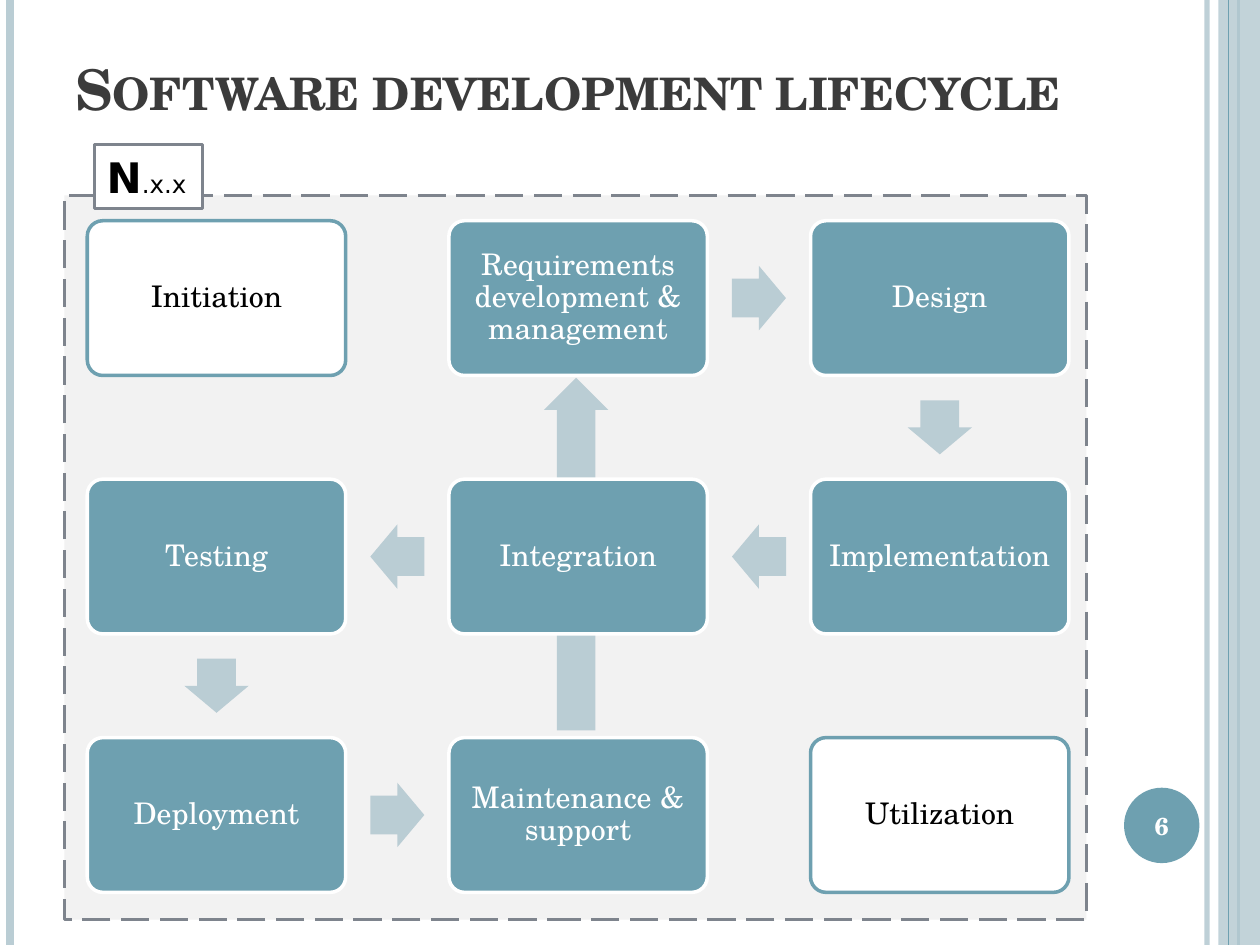
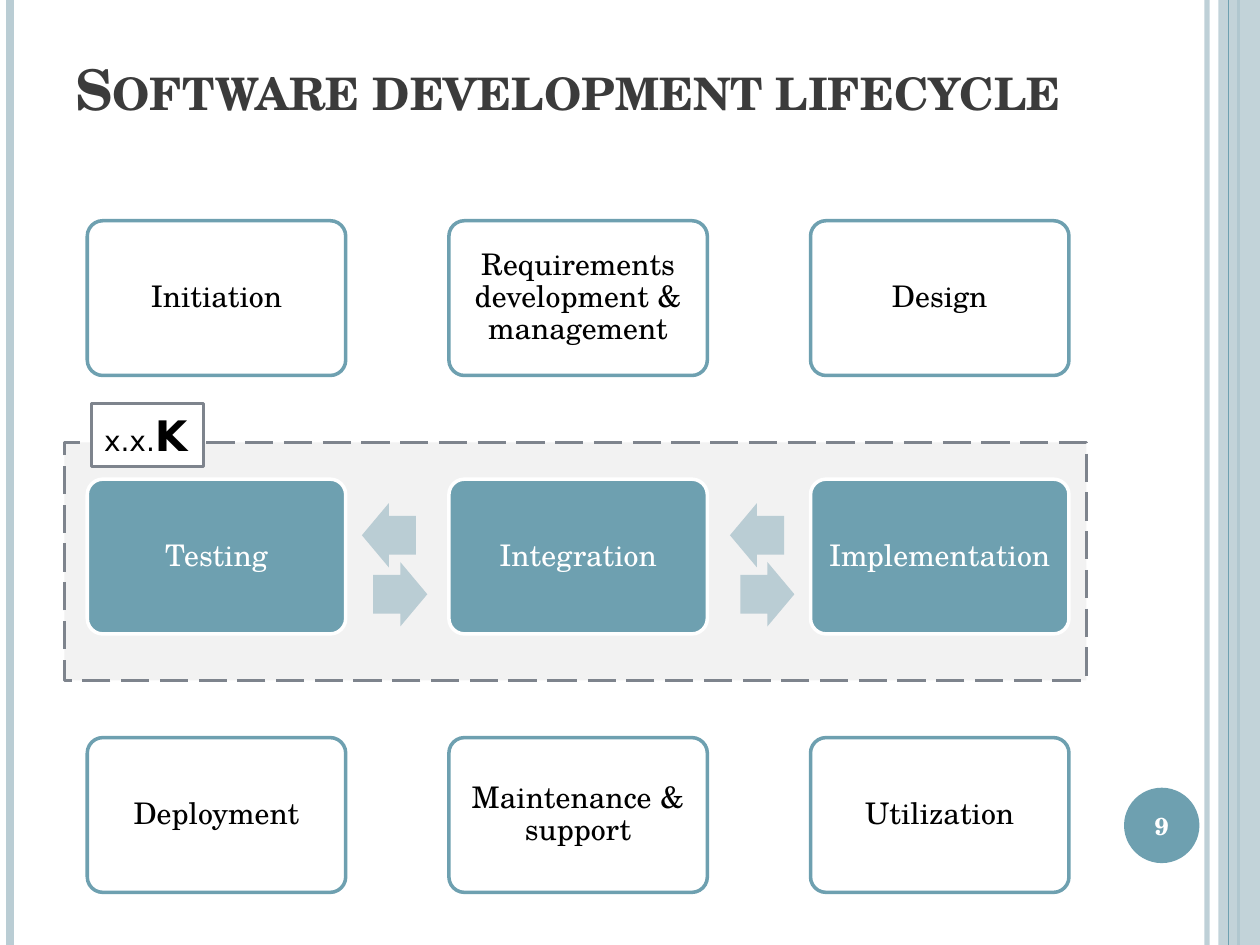
from dataclasses import dataclass
from math import atan2, degrees

from lxml.etree import SubElement
from pptx import Presentation
from pptx.dml.color import RGBColor
from pptx.enum.dml import MSO_LINE as Dash
from pptx.enum.shapes import MSO_CONNECTOR as Connector, MSO_SHAPE as Shape
from pptx.enum.text import MSO_ANCHOR as Anchor, MSO_AUTO_SIZE as AutoSize, PP_ALIGN as Align
from pptx.oxml.ns import qn
from pptx.util import Cm, Pt


@dataclass(frozen=True)
class Theme:
    teal: str = "6EA0B0"
    pale: str = "BACDD4"
    gray: str = "7E848D"
    panel: str = "F2F2F2"
    white: str = "FFFFFF"
    black: str = "000000"
    heading: str = "3B3B3B"
    serif: str = "TeX Gyre Schola"
    sans: str = "DejaVu Sans"
    title_size: float = 32
    stage_size: float = 17
    number_size: float = 14
    badge_size: float = 24


WIDTH, HEIGHT = 25.4, 19.05
# Grid of stages, in centimetres
LEFT, TOP = 1.76, 4.45
STAGE_WIDTH, STAGE_HEIGHT = 5.21, 3.12
COLUMN_STEP, ROW_STEP = 7.29, 5.21
ARROW_LENGTH, ARROW_WIDTH = 1.09, 1.3

TITLE = "Software development lifecycle"
STAGES = [
    ["Initiation", "Requirements development & management", "Design"],
    ["Testing", "Integration", "Implementation"],
    ["Deployment", "Maintenance & support", "Utilization"],
]
# Cells are (row, column)
INITIATION, REQUIREMENTS, DESIGN = (0, 0), (0, 1), (0, 2)
TESTING, INTEGRATION, IMPLEMENTATION = (1, 0), (1, 1), (1, 2)
DEPLOYMENT, MAINTENANCE, UTILIZATION = (2, 0), (2, 1), (2, 2)


def set_alpha(element, percent):
    for color in element.iter(qn("a:srgbClr")):
        SubElement(color, qn("a:alpha")).set("val", str(percent * 1000))


class SlideBuilder:
    def __init__(self, deck, theme):
        self.deck = deck
        self.theme = theme
        self.page = None

    def new_page(self, number):
        """Start a slide with the side bands, title and page number."""
        theme = self.theme
        self.page = self.deck.slides.add_slide(self.deck.slide_layouts[6])
        self.rule(24.33, theme.pale, 3, 93)
        self.rule(0.2, theme.pale, 4.5)
        self.rule(24.97, theme.teal, 1.5)
        band = self.shape(Shape.RECTANGLE, 24.56, 0, 0.84, HEIGHT, theme.pale)
        set_alpha(band.element.spPr, 87)
        self.rule(24.77, theme.teal, 0.75)
        self.page_number(number)
        self.title(TITLE)

    def rule(self, x, color, weight, opacity=100):
        """Draw a vertical line over the full slide height."""
        line = self.page.shapes.add_connector(
            Connector.STRAIGHT, Cm(x), Cm(0), Cm(x), Cm(HEIGHT))
        line.line.color.rgb = RGBColor.from_string(color)
        line.line.width = Pt(weight)
        properties = line.element.spPr
        SubElement(properties, qn("a:effectLst"))
        if opacity < 100:
            set_alpha(properties, opacity)

    def shape(self, kind, left, top, width, height, fill, outline=None, weight=2):
        box = self.page.shapes.add_shape(kind, Cm(left), Cm(top), Cm(width), Cm(height))
        box.shadow.inherit = False
        box.fill.solid()
        box.fill.fore_color.rgb = RGBColor.from_string(fill)
        if outline:
            box.line.color.rgb = RGBColor.from_string(outline)
            box.line.width = Pt(weight)
        else:
            box.line.fill.background()
        return box

    def format(self, span, size, color, bold=False, font=None):
        span.font.name = font or self.theme.serif
        span.font.size = Pt(size)
        span.font.bold = bold
        span.font.color.rgb = RGBColor.from_string(color)

    def centred_text(self, box, text, size, color, margin, bold=False):
        frame = box.text_frame
        frame.word_wrap = True
        frame.vertical_anchor = Anchor.MIDDLE
        frame.margin_left = frame.margin_right = Cm(margin)
        frame.margin_top = frame.margin_bottom = Cm(margin)
        frame.text = text
        para = frame.paragraphs[0]
        para.alignment = Align.CENTER
        self.format(para.runs[0], size, color, bold)
        return para

    def title(self, text):
        box = self.page.shapes.add_textbox(Cm(1.27), Cm(0.76), Cm(20.75), Cm(3.18))
        frame = box.text_frame
        frame.word_wrap = True
        frame.vertical_anchor = Anchor.BOTTOM
        frame.margin_bottom = Cm(1.48)
        frame.text = text
        span = frame.paragraphs[0].runs[0]
        self.format(span, self.theme.title_size, self.theme.heading, bold=True)
        span.font._element.set("cap", "small")

    def page_number(self, number):
        theme = self.theme
        circle = self.shape(Shape.OVAL, 22.66, 15.88, 1.52, 1.52, theme.teal)
        self.centred_text(circle, str(number), theme.number_size, theme.white, 0, bold=True)

    def frame(self, top, height):
        """Draw the dashed panel behind the active stages."""
        panel = self.shape(Shape.RECTANGLE, 1.3, top, 20.6, height,
                           self.theme.panel, self.theme.gray)
        panel.line.dash_style = Dash.LONG_DASH

    def stages(self, active):
        theme = self.theme
        for row, names in enumerate(STAGES):
            for column, name in enumerate(names):
                if (row, column) in active:
                    fill, outline, color = theme.teal, theme.white, theme.white
                else:
                    fill, outline, color = theme.white, theme.teal, theme.black
                box = self.shape(
                    Shape.ROUNDED_RECTANGLE, LEFT + column * COLUMN_STEP,
                    TOP + row * ROW_STEP, STAGE_WIDTH, STAGE_HEIGHT, fill, outline)
                box.adjustments[0] = 0.1
                para = self.centred_text(box, name, theme.stage_size, color, 0.18)
                para.line_spacing = 0.9

    def arrow(self, start, end, shift=(0, 0), length=ARROW_LENGTH):
        """Point from one cell to another, centred halfway and moved by shift."""
        (row, column), (end_row, end_column) = start, end
        x = LEFT + STAGE_WIDTH / 2 + (column + end_column) / 2 * COLUMN_STEP + shift[0]
        y = TOP + STAGE_HEIGHT / 2 + (row + end_row) / 2 * ROW_STEP + shift[1]
        arrow = self.shape(Shape.RIGHT_ARROW, x - length / 2, y - ARROW_WIDTH / 2,
                           length, ARROW_WIDTH, self.theme.pale)
        arrow.adjustments[0], arrow.adjustments[1] = 0.6, 0.5
        arrow.rotation = degrees(atan2(end_row - row, end_column - column))

    def badge(self, left, top, width, parts):
        """Draw a version label from (text, size, bold) parts."""
        theme = self.theme
        box = self.shape(Shape.RECTANGLE, left, top, width, 1.28,
                         theme.white, theme.gray, 1.5)
        frame = box.text_frame
        frame.word_wrap = False
        frame.auto_size = AutoSize.SHAPE_TO_FIT_TEXT
        frame.vertical_anchor = Anchor.TOP
        para = frame.paragraphs[0]
        para.alignment = Align.LEFT
        for text, size, bold in parts:
            span = para.add_run()
            span.text = text
            self.format(span, size, theme.black, bold, theme.sans)


def major_version_slide(builder):
    builder.new_page(6)
    builder.frame(3.94, 14.6)
    builder.arrow(MAINTENANCE, REQUIREMENTS, (-0.04, -0.05), length=7.11)
    builder.stages({REQUIREMENTS, DESIGN, IMPLEMENTATION, INTEGRATION,
                    TESTING, DEPLOYMENT, MAINTENANCE})
    flow = [REQUIREMENTS, DESIGN, IMPLEMENTATION, INTEGRATION,
            TESTING, DEPLOYMENT, MAINTENANCE]
    for start, end in zip(flow, flow[1:]):
        builder.arrow(start, end)
    builder.badge(1.9, 2.92, 2.18, [("N", builder.theme.badge_size, True), (".x.x", 14, False)])


def build_version_slide(builder):
    builder.new_page(9)
    builder.frame(8.92, 4.8)
    builder.stages({TESTING, INTEGRATION, IMPLEMENTATION})
    builder.arrow(IMPLEMENTATION, INTEGRATION, (-0.04, -0.43))
    builder.arrow(INTEGRATION, TESTING, (-0.17, -0.43))
    builder.arrow(TESTING, INTEGRATION, (0.06, 0.76))
    builder.arrow(INTEGRATION, IMPLEMENTATION, (0.17, 0.76))
    builder.badge(1.85, 8.13, 2.26, [("x.x.", 16, False), ("K", builder.theme.badge_size, True)])


def main():
    deck = Presentation()
    deck.slide_width, deck.slide_height = Cm(WIDTH), Cm(HEIGHT)
    builder = SlideBuilder(deck, Theme())
    major_version_slide(builder)
    build_version_slide(builder)
    deck.save("out.pptx")


if __name__ == "__main__":
    main()
